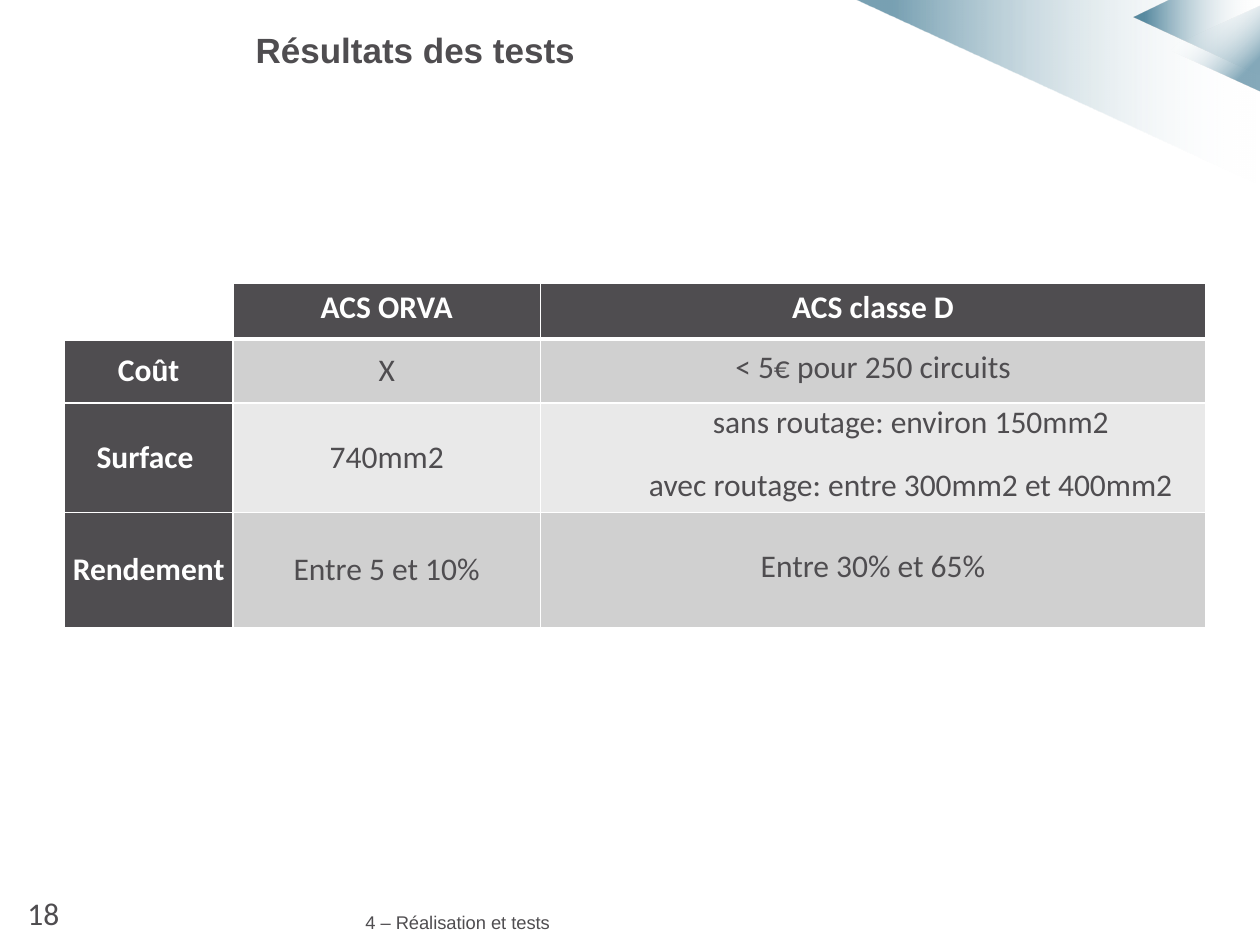
from lxml import etree
from pptx import Presentation
from pptx.dml.color import RGBColor
from pptx.enum.shapes import MSO_SHAPE
from pptx.enum.text import MSO_ANCHOR as ANCHOR, PP_ALIGN as ALIGN
from pptx.oxml import parse_xml
from pptx.oxml.ns import nsdecls, qn
from pptx.util import Inches, Pt

DARK, WHITE, BLUE = "4F4D50", "FFFFFF", "004D6F"


def style(font, size, color, name, bold=False):
    font.size, font.name, font.bold = Pt(size), name, bold
    font.color.rgb = RGBColor.from_string(color)


def fade(sp, start, end, opacity, angle):
    sp.shadow.inherit = False
    sp.line.fill.background()
    sp.fill.background()
    no_fill = sp._element.spPr.find(qn("a:noFill"))
    grad = parse_xml(
        f'<a:gradFill {nsdecls("a")} rotWithShape="1"><a:gsLst>'
        f'<a:gs pos="{start * 1000}"><a:srgbClr val="{WHITE}"><a:alpha val="0"/></a:srgbClr></a:gs>'
        f'<a:gs pos="{end * 1000}"><a:srgbClr val="{BLUE}"><a:alpha val="{opacity * 1000}"/></a:srgbClr></a:gs>'
        f'</a:gsLst><a:lin ang="{angle * 60000}" scaled="0"/></a:gradFill>')
    no_fill.getparent().replace(no_fill, grad)


prs = Presentation()
prs.slide_width, prs.slide_height = Inches(10), Inches(7.5)
s = prs.slides.add_slide(prs.slide_layouts[5])

bands = [
    ([(6.79, 0), (10, 0), (10, 1.47)], 53),
    ([(9, 0.14), (9.29, 0), (10, 0), (10, 0.6)], 63),
]
for points, opacity in bands:
    corners = [(Inches(x), Inches(y)) for x, y in points]
    builder = s.shapes.build_freeform(*corners[0])
    builder.add_line_segments(corners[1:], close=True)
    fade(builder.convert_to_shape(), 1, 91, opacity, 180)

sp = s.shapes.add_shape(MSO_SHAPE.ISOSCELES_TRIANGLE, Inches(9.29), Inches(0.01),
                        Inches(0.68), Inches(0.75))
sp.rotation = 270
fade(sp, 27, 81, 48, 135)

title = s.shapes.title
title.left, title.top = Inches(2.8), Inches(7.19)
title.width, title.height = Inches(6.18), Inches(0.26)
tf = title.text_frame
tf.text = "4 – Réalisation et tests"
tf.vertical_anchor = ANCHOR.MIDDLE
p = tf.paragraphs[0]
p.alignment = ALIGN.LEFT
style(p.font, 10.5, DARK, "Arial")

labels = [
    ("Résultats des tests", 1.93, 0.18, 5.04, 0.46, 20, "Arial", True),
    ("18", 0.12, 7.05, 0.46, 0.4, 18, "Calibri", False),
]
for text, x, y, w, h, size, name, bold in labels:
    tf = s.shapes.add_textbox(Inches(x), Inches(y), Inches(w), Inches(h)).text_frame
    tf.word_wrap = bold
    tf.text = text
    style(tf.paragraphs[0].font, size, DARK, name, bold)

rows = [
    ["", "ACS ORVA", "ACS classe D"],
    ["Coût", "X", "< 5€ pour 250 circuits"],
    ["Surface ", "740mm2",
     "sans routage: environ 150mm2\navec routage: entre 300mm2 et 400mm2"],
    ["Rendement", "Entre 5 et 10%", "Entre 30% et 65%"],
]
table = s.shapes.add_table(4, 3, Inches(0.51), Inches(2.25), Inches(9.06), Inches(2.73)).table
for column, width in zip(table.columns, (1.34, 2.44, 5.28)):
    column.width = Inches(width)
for row, height in zip(table.rows, (0.44, 0.51, 0.87, 0.91)):
    row.height = Inches(height)

for i, row in enumerate(rows):
    for j, text in enumerate(row):
        cell = table.cell(i, j)
        header = i == 0 or j == 0
        cell.margin_left = cell.margin_right = cell.margin_top = cell.margin_bottom = 0
        cell.vertical_anchor = ANCHOR.MIDDLE
        tcPr = cell._tc.get_or_add_tcPr()
        for side in "LRTB":
            thick = (i, side) in ((0, "B"), (1, "T"))
            ln = etree.SubElement(tcPr, qn(f"a:ln{side}"), w=str(Pt(3 if thick else 1)))
            fill = etree.SubElement(ln, qn("a:solidFill"))
            etree.SubElement(fill, qn("a:srgbClr"), val=WHITE)
        if text:
            cell.fill.solid()
            color = DARK if header else ("D0D0D0", "E9E9E9")[(i + 1) % 2]
            cell.fill.fore_color.rgb = RGBColor.from_string(color)
        else:
            cell.fill.background()
        cell.text_frame.text = text
        paragraphs = cell.text_frame.paragraphs
        for p in paragraphs:
            p.alignment = ALIGN.CENTER
            style(p.font, 18, WHITE if header else DARK, "Calibri", header)
            if i == 0 or j == 2:
                p.line_spacing, p.space_after = Pt(18), Pt(3)
            if len(paragraphs) > 1:
                p._p.get_or_add_pPr().set("marL", str(Inches(0.6)))
        if len(paragraphs) > 1:
            paragraphs[0].space_after = Pt(18)

prs.save("out.pptx")
